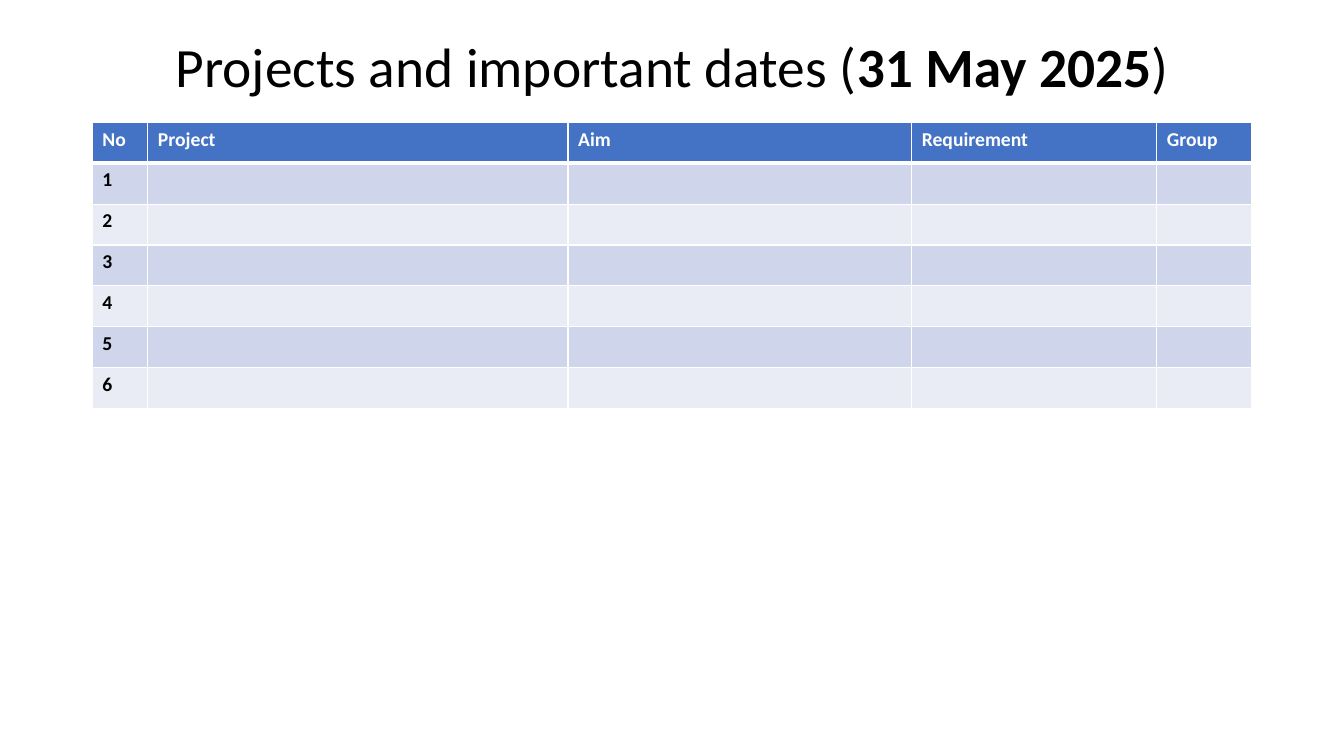
from dataclasses import dataclass
from lxml.etree import SubElement
from pptx import Presentation
from pptx.dml.color import RGBColor
from pptx.enum.text import MSO_ANCHOR, MSO_AUTO_SIZE, PP_ALIGN
from pptx.oxml.ns import qn
from pptx.util import Pt

# Content
TITLE = [("Projects and important dates (", False), ("31 May 2025", True), (")", False)]
HEADS = ["No", "Project", "Aim", "Requirement", "Group"]
ROWS = [[str(n), "", "", "", ""] for n in range(1, 7)]
WIDTHS = [39.6, 300.2, 245.5, 175, 67.7]


@dataclass(frozen=True)
class Theme:
    font: str = "Calibri"
    title: float = 39.6
    body: float = 14
    ink: str = "000000"
    white: str = "FFFFFF"
    head: str = "4472C4"
    bands: tuple = ("CFD5EA", "E9EBF5")
    thin: float = 1
    thick: float = 3


THEME = Theme()
LEFT, WIDE, TOP, ROW = 66, 828, 87.4, 29.2


def add_run(para, text, size, color, bold):
    run = para.add_run()
    run.text = text
    font = run.font
    font.name, font.size, font.bold = THEME.font, Pt(size), bold
    font.color.rgb = RGBColor.from_string(color)


def add_edge(cell, side, width):
    props = cell._tc.get_or_add_tcPr()
    line = SubElement(props, qn(f"a:ln{side}"), w=str(Pt(width)))
    fill = SubElement(line, qn("a:solidFill"))
    SubElement(fill, qn("a:srgbClr"), val=THEME.white)


def style_cell(cell, row, text):
    # The rule below the header is thicker than the rest
    edges = {side: THEME.thin for side in "LRTB"}
    if row < 2:
        edges["B" if row == 0 else "T"] = THEME.thick
    for side, width in edges.items():
        add_edge(cell, side, width)
    back = THEME.bands[(row - 1) % 2] if row else THEME.head
    cell.fill.solid()
    cell.fill.fore_color.rgb = RGBColor.from_string(back)
    para = cell.text_frame.paragraphs[0]
    para.font.size = Pt(THEME.body)
    if text:
        add_run(para, text, THEME.body, THEME.ink if row else THEME.white, True)


def add_title(slide):
    title = slide.shapes.title
    title.left, title.top, title.width, title.height = map(Pt, (LEFT, 28.8, WIDE, 41.8))
    frame = title.text_frame
    frame.auto_size = MSO_AUTO_SIZE.NONE
    frame.vertical_anchor = MSO_ANCHOR.MIDDLE
    para = frame.paragraphs[0]
    para.alignment, para.line_spacing = PP_ALIGN.CENTER, 0.9
    for text, bold in TITLE:
        add_run(para, text, THEME.title, THEME.ink, bold)


def add_grid(slide):
    data = [HEADS] + ROWS
    place = map(Pt, (LEFT, TOP, WIDE, ROW * len(data)))
    table = slide.shapes.add_table(len(data), len(HEADS), *place).table
    for col, width in zip(table.columns, WIDTHS):
        col.width = Pt(width)
    for r, texts in enumerate(data):
        table.rows[r].height = Pt(ROW)
        for c, text in enumerate(texts):
            style_cell(table.cell(r, c), r, text)


def main():
    deck = Presentation()
    deck.slide_width, deck.slide_height = Pt(960), Pt(540)
    slide = deck.slides.add_slide(deck.slide_layouts[5])
    add_title(slide)
    add_grid(slide)
    deck.save("out.pptx")


if __name__ == "__main__":
    main()
